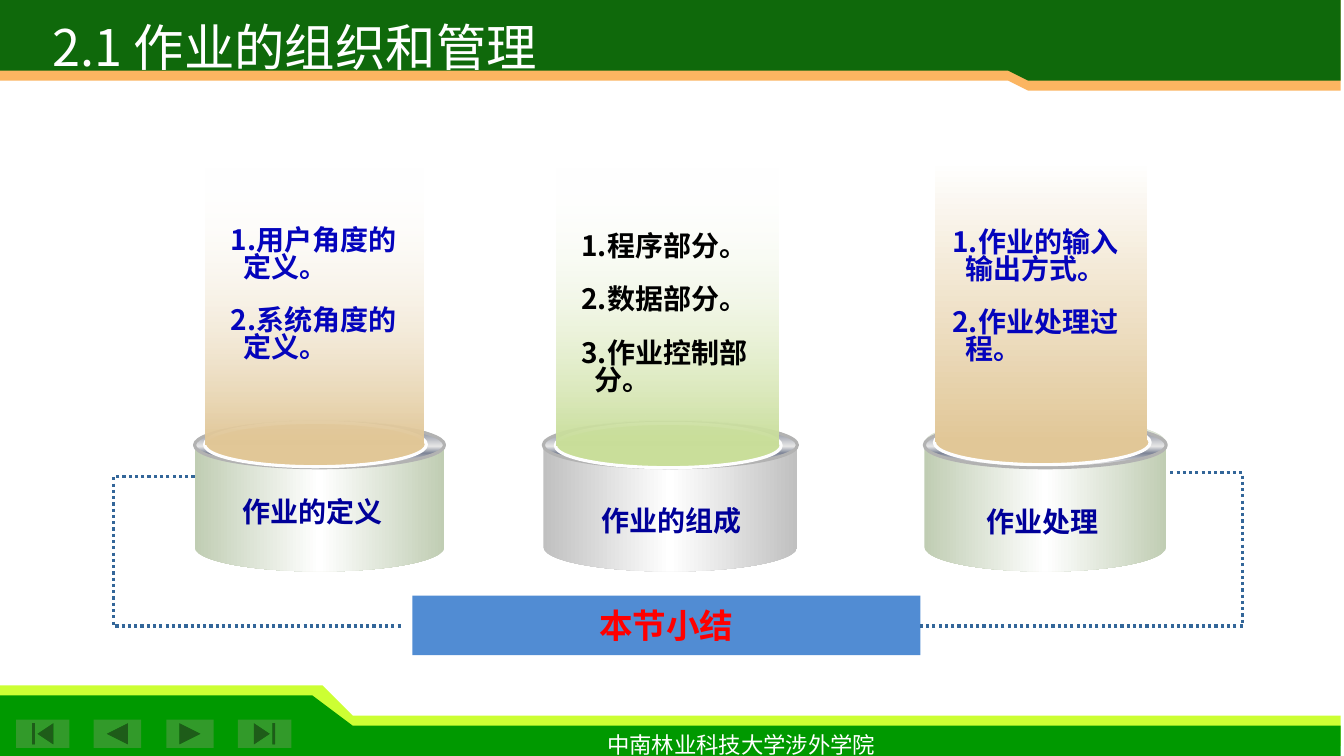
from pptx import Presentation, util as u
from pptx.dml.color import RGBColor
from pptx.enum import dml, shapes, text
from pptx.oxml import parse_xml
from pptx.oxml.ns import nsdecls, qn

# The slide is a grid of cells, each a tenth of an inch square
CELL = u.Inches(0.1)
COLS, ROWS = 133.33, 75

COLORS = {
    "header": "0F690B", "header_edge": "FBB561",
    "footer": "009900", "footer_edge": "CCFF33", "button": "329A2A",
    "bar": "518CD3", "link": "336699", "summary": "FF0000",
    "white": "FFFFFF", "black": "000000", "blue": "0404BC", "navy": "000099",
    "tan": "E1C797", "lime": "C9DE9A", "sage": "C0CDB3", "grey": "C0C0C0",
    "rim": "B2B2B2", "disc_rim": "FEFEFE",
    "steel_light": "E6E6E6", "steel_dark": "7D8496",
}
STEEL = [(0, "steel_light"), (15, "steel_dark"), (53, "steel_light"),
         (68, "steel_dark"), (93, "steel_light"), (100, "white")]
PRESET = shapes.MSO_SHAPE

# base and beam are (column, row, width, height)
PILLARS = [
    dict(base=(19.3, 41.7, 24.8, 15), base_color="sage",
         beam=(20.4, 16.5, 21.6, 27.6), beam_color="tan", top_alpha=0,
         label="作业的定义", label_box=(18.8, 48.5, 24.4, 4.4),
         points=["用户角度的定义。", "系统角度的定义。"],
         points_box=(21.9, 22.2, 18.9, 19.8), points_color="blue"),
    dict(base=(53.9, 41.7, 25.2, 15), base_color="grey",
         beam=(55.2, 16.6, 22, 27.6), beam_color="lime", top_alpha=0,
         label="作业的组成", label_box=(51.7, 49.4, 29.9, 4.4),
         points=["程序部分。", "数据部分。", "作业控制部分。"],
         points_box=(56.7, 22.8, 19.4, 17.2), points_color="black"),
    dict(base=(91.7, 41.5, 24, 15.2), base_color="sage",
         beam=(92.8, 15.9, 21, 28), beam_color="tan", top_alpha=100,
         label="作业处理", label_box=(89.5, 49.5, 27.9, 4.4),
         points=["作业的输入输出方式。", "作业处理过程。"],
         points_box=(93.5, 22.4, 20.1, 19.9), points_color="blue"),
]


def rgb(name):
    return RGBColor.from_string(COLORS[name])


def cells(*lengths):
    return [round(length * CELL) for length in lengths]


def paint(shape, fill, rim=None):
    shape.shadow.inherit = False
    if fill:
        shape.fill.solid()
        shape.fill.fore_color.rgb = rgb(fill)
    if rim:
        shape.line.color.rgb = rgb(rim)
        shape.line.width = u.Pt(2.25)
    else:
        shape.line.fill.background()


def add_preset(slide, preset, box, fill=None, rim=None):
    shape = slide.shapes.add_shape(preset, *cells(*box))
    paint(shape, fill, rim)
    return shape


def add_band(slide, points, fill):
    builder = slide.shapes.build_freeform(*points[0], scale=CELL)
    builder.add_line_segments(points[1:], close=True)
    paint(builder.convert_to_shape(), fill)


def set_gradient(shape, stops, down=False, top_alpha=100):
    """Fill from left to right, or from top to bottom."""
    shape.fill.gradient()
    shape.fill.gradient_angle = 270 if down else 0
    stop_list = shape._element.spPr.find(qn("a:gradFill")).find(qn("a:gsLst"))
    for old in list(stop_list):
        stop_list.remove(old)
    for position, name in stops:
        alpha = top_alpha if position == 0 else 100
        stop_list.append(parse_xml(
            f'<a:gs {nsdecls("a")} pos="{position * 1000}">'
            f'<a:srgbClr val="{COLORS[name]}">'
            f'<a:alpha val="{alpha * 1000}"/></a:srgbClr></a:gs>'))


def style(paragraph, size, color, font="Arial", bold=True,
          align=text.PP_ALIGN.CENTER):
    paragraph.alignment = align
    paragraph.font.size = u.Pt(size)
    paragraph.font.name = font
    paragraph.font.bold = bold
    paragraph.font.color.rgb = rgb(color)


def add_line_of_text(slide, box, words, size, color, wrap=True, **looks):
    frame = slide.shapes.add_textbox(*cells(*box)).text_frame
    frame.word_wrap = wrap
    frame.vertical_anchor = text.MSO_ANCHOR.MIDDLE
    frame.text = words
    style(frame.paragraphs[0], size, color, **looks)


def add_numbered_points(slide, box, points, color):
    frame = slide.shapes.add_textbox(*cells(*box)).text_frame
    frame.word_wrap = True
    frame.text = "\n".join(points)
    for paragraph in frame.paragraphs:
        style(paragraph, 20, color, align=text.PP_ALIGN.LEFT)
        paragraph.line_spacing = 0.8
        paragraph.space_after = u.Pt(19)
        props = paragraph._p.get_or_add_pPr()
        props.set("marL", str(u.Inches(0.13)))
        props.set("indent", str(-u.Inches(0.13)))
        numbering = parse_xml(
            f'<a:buAutoNum {nsdecls("a")} type="arabicPeriod"/>')
        props.insert_element_before(numbering, "a:tabLst", "a:defRPr", "a:extLst")


def add_pillar(slide, base, base_color, beam, beam_color, top_alpha,
               label, label_box, points, points_box, points_color):
    can = add_preset(slide, PRESET.CAN, base)
    can.adjustments[0] = 0.32
    set_gradient(can, [(0, base_color), (50, "white"), (100, base_color)])

    lid = add_preset(slide, PRESET.OVAL, (base[0], 41.9, base[2], 4.5), rim="rim")
    set_gradient(lid, STEEL, down=True)

    # The disc is centred on the foot of the beam
    left, top, width, height = beam
    disc = (left - 0.1, top + height - 2.2, width + 0.4, 4.4)
    add_preset(slide, PRESET.OVAL, disc, beam_color, "disc_rim")
    light = add_preset(slide, PRESET.RECTANGLE, beam)
    set_gradient(light, [(0, "white"), (100, beam_color)], True, top_alpha)

    add_numbered_points(slide, points_box, points, points_color)
    add_line_of_text(slide, label_box, label, 20, "navy")


def add_dotted_link(slide, start, end, bend):
    link = slide.shapes.add_connector(
        shapes.MSO_CONNECTOR.ELBOW, *cells(*start, *end))
    link.line.color.rgb = rgb("link")
    link.line.width = u.Pt(2.25)
    link.line.dash_style = dml.MSO_LINE.ROUND_DOT
    properties = link._element.spPr
    guides = properties.find(qn("a:prstGeom")).get_or_add_avLst()
    guides.append(parse_xml(
        f'<a:gd {nsdecls("a")} name="adj1" fmla="val {round(bend * 100000)}"/>'))
    properties.append(parse_xml(f'<a:effectLst {nsdecls("a")}/>'))


def add_frame(slide):
    # Footer bands, navigation buttons and school name
    add_band(slide, [(0, 68.4), (31.7, 68.5), (35.2, 71.1), (COLS, 71.1),
                     (COLS, 74), (0, 74)], "footer_edge")
    add_band(slide, [(0, 69), (31.1, 69.1), (34.9, 72.4), (COLS, 72.4),
                     (COLS, ROWS), (0, ROWS)], "footer")
    for left, width, preset in [
            (1.6, 5.3, PRESET.ACTION_BUTTON_BEGINNING),
            (9.3, 4.7, PRESET.ACTION_BUTTON_BACK_OR_PREVIOUS),
            (16.5, 4.7, PRESET.ACTION_BUTTON_FORWARD_OR_NEXT),
            (23.6, 5.3, PRESET.ACTION_BUTTON_END)]:
        add_preset(slide, preset, (left, 71.4, width, 2.8), "button")
    add_line_of_text(slide, (59.1, 72, 28.9, 3.7), "中南林业科技大学涉外学院", 16,
                     "white", wrap=False, font="Times New Roman", bold=False)

    # Header bands
    for drop, color in [(0.7, "header_edge"), (0, "header")]:
        add_band(slide, [(0, 0), (0, 7.4 + drop), (99.8, 7.4 + drop),
                         (102.3, 8.3 + drop), (COLS, 8.4 + drop), (COLS, 0)], color)


def set_title(slide, words):
    title = slide.shapes.title
    title.left, title.top, title.width, title.height = cells(5.2, 1, 50.4, 7.2)
    frame = title.text_frame
    frame.text = words
    frame.word_wrap = False
    frame.auto_size = text.MSO_AUTO_SIZE.NONE
    frame.vertical_anchor = text.MSO_ANCHOR.MIDDLE
    frame.margin_left = frame.margin_right = 0
    frame.margin_top = frame.margin_bottom = 0
    style(frame.paragraphs[0], 36, "white", font="Noto Sans CJK SC",
          bold=False, align=text.PP_ALIGN.LEFT)
    slide.shapes._spTree.append(title._element)  # in front of the header


def main():
    prs = Presentation()
    prs.slide_width, prs.slide_height = cells(COLS, ROWS)
    slide = prs.slides.add_slide(prs.slide_layouts[5])
    add_frame(slide)

    # Summary bar and its links to the outer pillars
    bar = add_preset(slide, PRESET.RECTANGLE, (40.9, 59.1, 50.4, 5.9), "bar")
    bar.text_frame.text = "本节小结"
    style(bar.text_frame.paragraphs[0], 24, "summary")
    add_dotted_link(slide, (19.3, 47.3), (39.9, 62.1), -0.39)
    add_dotted_link(slide, (116.1, 46.9), (91.3, 62.1), -0.29)

    for pillar in PILLARS:
        add_pillar(slide, **pillar)
    set_title(slide, "2.1 作业的组织和管理")
    prs.save("out.pptx")


main()
